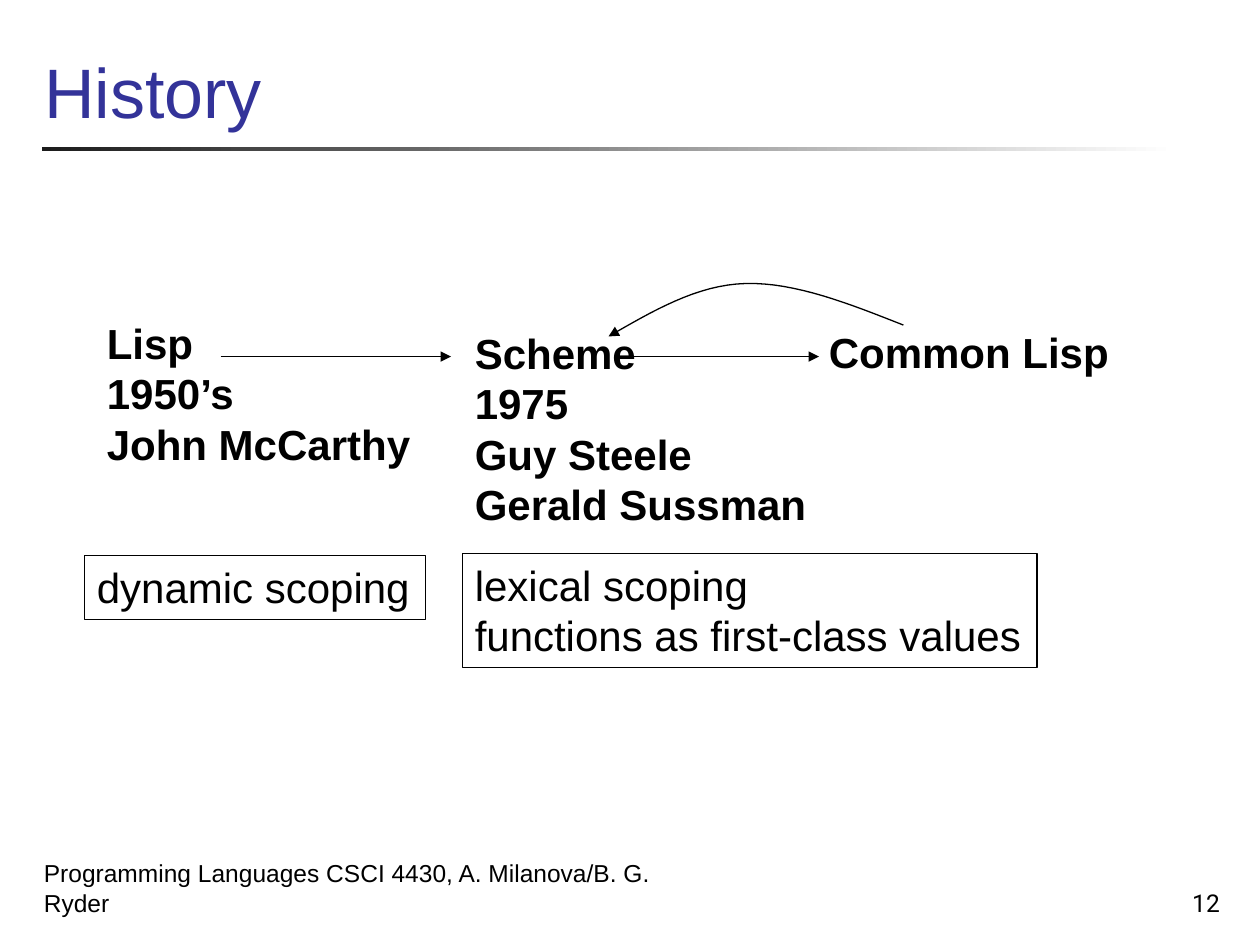
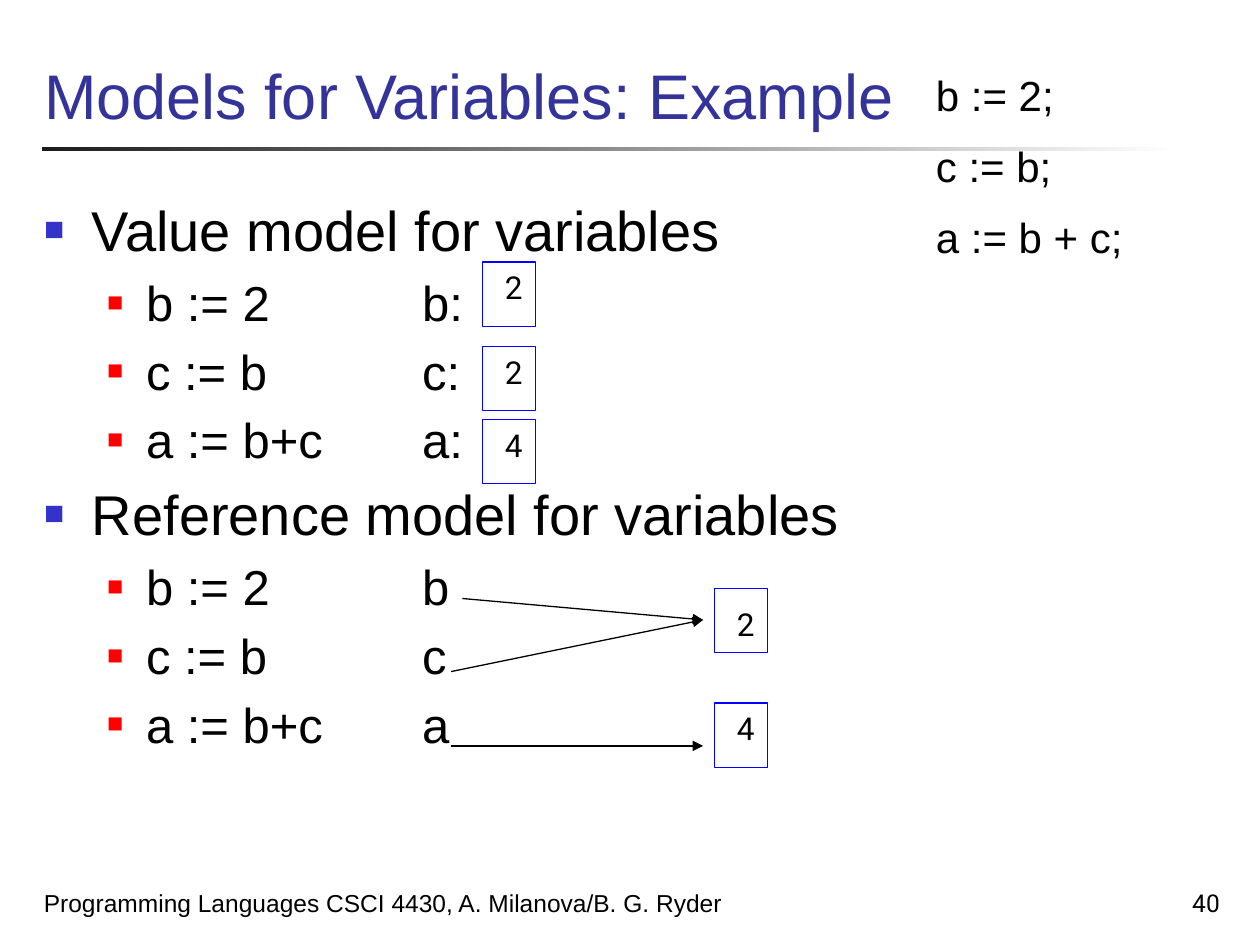
import pptx
import pptx.util
import pptx.dml.color
import pptx.enum.shapes
import pptx.enum.text
import pptx.oxml
import pptx.oxml.ns

Inches = pptx.util.Inches
Pt = pptx.util.Pt
RGBColor = pptx.dml.color.RGBColor
ANCHOR = pptx.enum.text.MSO_ANCHOR
ALIGN = pptx.enum.text.PP_ALIGN
AUTO = pptx.enum.text.MSO_AUTO_SIZE
RECT = pptx.enum.shapes.MSO_SHAPE.RECTANGLE
STRAIGHT = pptx.enum.shapes.MSO_CONNECTOR.STRAIGHT

BLACK = RGBColor(0, 0, 0)
WHITE = RGBColor(255, 255, 255)
CHARCOAL = RGBColor(0x1C, 0x1C, 0x1C)
NAVY = RGBColor(0x33, 0x33, 0x99)
INDIGO = RGBColor(0x33, 0x33, 0xCC)
RED = RGBColor(255, 0, 0)
BLUE = RGBColor(0, 0, 255)

FOOTER = "Programming Languages CSCI 4430, A. Milanova/B. G. Ryder"
PLAIN = {"name": "Arial", "size": Pt(24), "bold": False}
BOLD = {**PLAIN, "bold": True}
SMALL = {**PLAIN, "size": Pt(14)}
NUMBER = {**SMALL, "name": "Roboto"}
VALUE = {**NUMBER, "size": Pt(18)}
LEVELS = [
    {"size": 32, "indent": 0.38, "hang": 0.38, "bullet": INDIGO, "scale": 60},
    {"size": 28, "indent": 0.81, "hang": 0.31, "bullet": RED, "scale": 55},
]


def set_attrs(target, formats):
    for name, value in formats.items():
        setattr(target, name, value)


def add_xml(parent, tag, **attrs):
    el = pptx.oxml.parse_xml(f"<a:{tag} {pptx.oxml.ns.nsdecls('a')}/>")
    for name, value in attrs.items():
        el.set(name, str(value))
    parent.append(el)
    return el


def place(sp, box):
    names = ("left", "top", "width", "height")
    set_attrs(sp, dict(zip(names, map(Inches, box))))


def write(p, text, font, color=BLACK):
    r = p.add_run()
    r.text = text
    set_attrs(r.font, font)
    r.font.color.rgb = color


def space_before(p, percent):
    spacing = add_xml(p._p.get_or_add_pPr(), "spcBef")
    add_xml(spacing, "spcPct", val=percent * 1000)


def fill_lines(tf, lines, font, align=ALIGN.LEFT, before=0):
    for i, line in enumerate(lines):
        p = tf.add_paragraph() if i else tf.paragraphs[0]
        p.alignment = align
        if before:
            space_before(p, before)
        write(p, line, font)


def add_text(s, box, lines, font, wrap=False, anchor=ANCHOR.TOP,
             auto_size=AUTO.SHAPE_TO_FIT_TEXT, **paragraph):
    sp = s.shapes.add_textbox(*map(Inches, box))
    set_attrs(sp.text_frame, {"word_wrap": wrap, "vertical_anchor": anchor,
                              "auto_size": auto_size})
    fill_lines(sp.text_frame, lines, font, **paragraph)
    return sp


def outline(sp, color=BLACK):
    sp.line.color.rgb = color
    sp.line.width = Pt(0.75)


def add_framed_text(s, box, lines):
    outline(add_text(s, box, lines, PLAIN))


def add_value(s, left, top, value, drop=0):
    sp = s.shapes.add_shape(RECT, *map(Inches, (left, top, 0.42, 0.51)))
    sp.shadow.inherit = False
    sp.fill.background()
    outline(sp, BLUE)
    add_text(s, (left + 0.08, top + drop, 0.34, 0.4), [value], VALUE)


def add_arrowhead(sp):
    add_xml(sp.line._get_or_add_ln(), "tailEnd", type="triangle")


def add_arrow(s, start, end):
    c = s.shapes.add_connector(STRAIGHT, *map(Inches, start + end))
    outline(c)
    add_arrowhead(c)
    add_xml(c._element.spPr, "effectLst")


def bezier(points, steps=16):
    for i in range(1, steps + 1):
        t = i / steps
        weights = ((1 - t) ** 3, 3 * t * (1 - t) ** 2, 3 * t * t * (1 - t), t ** 3)
        yield tuple(Inches(sum(w * pt[axis] for w, pt in zip(weights, points)))
                    for axis in (0, 1))


def add_curved_arrow(s, points):
    builder = s.shapes.build_freeform(*map(Inches, points[0]))
    for i in range(0, len(points) - 1, 3):
        builder.add_line_segments(list(bezier(points[i:i + 4])), close=False)
    sp = builder.convert_to_shape()
    sp.shadow.inherit = False
    sp.fill.background()
    outline(sp)
    add_arrowhead(sp)


def add_rule(s):
    sp = s.shapes.add_shape(RECT, *map(Inches, (0.33, 1.17, 9, 0.03)))
    sp.shadow.inherit = False
    sp.line.fill.background()
    sp.fill.gradient()
    sp.fill.gradient_angle = 0
    for stop, color in zip(sp.fill.gradient_stops, (CHARCOAL, WHITE)):
        stop.color.rgb = color


def add_slide(prs, layout, title, size, number, footer_width):
    s = prs.slides.add_slide(prs.slide_layouts.get_by_name(layout))
    sp = s.shapes.title
    place(sp, (0.25, 0, 9.52, 1.1))
    set_attrs(sp.text_frame, {"vertical_anchor": ANCHOR.BOTTOM, "auto_size": AUTO.NONE})
    p = sp.text_frame.paragraphs[0]
    p.alignment = ALIGN.LEFT
    write(p, title, {**PLAIN, "size": Pt(size)}, NAVY)
    add_rule(s)
    band = {"wrap": True, "anchor": ANCHOR.BOTTOM, "auto_size": AUTO.NONE}
    add_text(s, (0.25, 6.83, footer_width, 0.5), [FOOTER], SMALL, **band)
    add_text(s, (7.7, 6.83, 2.08, 0.5), [number], NUMBER, align=ALIGN.RIGHT, **band)
    return s


def fill_bullets(sp, items):
    place(sp, (0.25, 1.5, 9.54, 5.25))
    tf = sp.text_frame
    tf.auto_size = AUTO.NONE
    for i, (level, text) in enumerate(items):
        style = LEVELS[level]
        p = tf.add_paragraph() if i else tf.paragraphs[0]
        p.level = level
        pPr = p._p.get_or_add_pPr()
        pPr.set("marL", str(Inches(style["indent"])))
        pPr.set("indent", str(-Inches(style["hang"])))
        pPr.set("defTabSz", str(Inches(1)))
        space_before(p, 20)
        add_xml(add_xml(pPr, "buClr"), "srgbClr", val=style["bullet"])
        add_xml(pPr, "buSzPct", val=style["scale"] * 1000)
        add_xml(pPr, "buFont", typeface="Arial")
        add_xml(pPr, "buChar", char="■")
        write(p, text, {**PLAIN, "size": Pt(style["size"])})


def build_history(prs):
    s = add_slide(prs, "Title Only", "History", 40, "12", 5.58)
    add_text(s, (0.75, 2.47, 2.64, 1.31), ["Lisp", "1950’s", "John McCarthy"], BOLD)
    add_text(s, (3.67, 2.55, 2.86, 1.72),
             ["Scheme", "1975", "Guy Steele", "Gerald Sussman"], BOLD)
    add_text(s, (6.48, 2.54, 2.46, 0.5), ["Common Lisp"], BOLD)
    add_arrow(s, (1.75, 2.83), (3.58, 2.83))
    add_arrow(s, (5, 2.83), (6.5, 2.83))
    add_curved_arrow(s, [(7.17, 2.58), (6.74, 2.41), (6.31, 2.24), (5.92, 2.25),
                         (5.53, 2.26), (5.18, 2.47), (4.83, 2.67)])
    add_framed_text(s, (0.67, 4.41, 2.71, 0.51), ["dynamic scoping"])
    add_framed_text(s, (3.67, 4.39, 4.56, 0.91),
                    ["lexical scoping", "functions as first-class values"])


def build_variable_models(prs):
    s = add_slide(prs, "Title and Content", "Models for Variables: Example", 36, "40", 5.84)
    fill_bullets(s.placeholders[1], [
        (0, "Value model for variables"),
        (1, "b := 2\t\tb:"),
        (1, "c := b\t\tc:"),
        (1, "a := b+c\ta:"),
        (0, "Reference model for variables"),
        (1, "b := 2\t\tb"),
        (1, "c := b\t\tc"),
        (1, "a := b+c\ta"),
    ])
    add_text(s, (7.33, 0.5, 2.67, 1.72), ["b := 2;", "c := b;", "a := b + c;"],
             PLAIN, wrap=True, before=50)
    for top, value in ((2.08, "2"), (2.75, "2"), (3.33, "4")):
        add_value(s, 3.83, top, value)
    add_value(s, 5.67, 4.67, "2", drop=0.08)
    add_value(s, 5.67, 5.58, "4")
    for start, end_y in (((3.67, 4.75), 4.92), ((3.58, 5.33), 4.92), ((3.58, 5.92), 5.92)):
        add_arrow(s, start, (5.58, end_y))


def main():
    prs = pptx.Presentation()
    set_attrs(prs, {"slide_width": Inches(10), "slide_height": Inches(7.5)})
    build_history(prs)
    build_variable_models(prs)
    prs.save("out.pptx")


if __name__ == "__main__":
    main()
